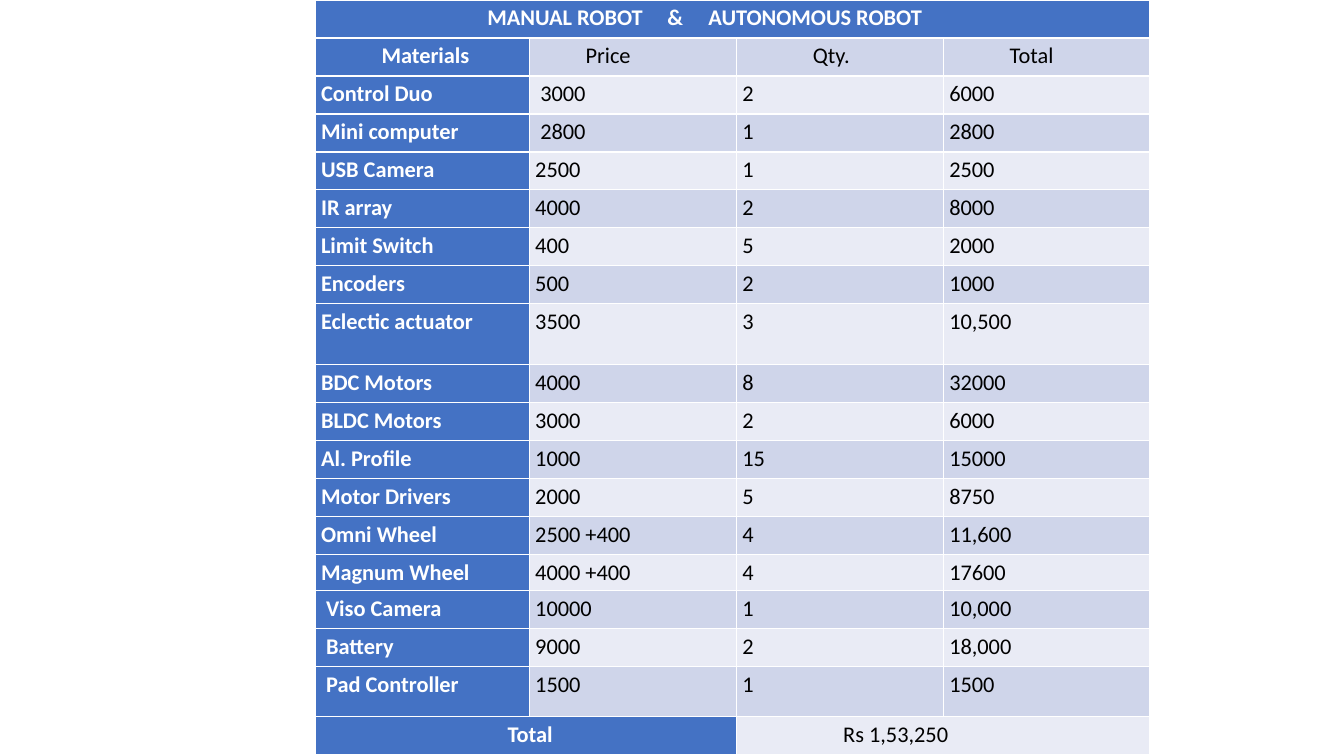
from lxml import etree
from pptx import Presentation
from pptx.dml.color import RGBColor
from pptx.enum.text import MSO_ANCHOR, PP_ALIGN
from pptx.oxml.ns import qn
from pptx.util import Pt

JUSTIFY = PP_ALIGN.JUSTIFY
TOP = MSO_ANCHOR.TOP

# Content
TITLE = "MANUAL ROBOT\t&\tAUTONOMOUS ROBOT"
HEADINGS = ("Materials", "Price", "Qty.", "Total")
MATERIALS = [
    ("Control Duo", "3000", "2", "6000"),
    ("Mini computer", "2800", "1", "2800"),
    ("USB Camera", "2500", "1", "2500"),
    ("IR array", "4000", "2", "8000"),
    ("Limit Switch", "400", "5", "2000"),
    ("Encoders", "500", "2", "1000"),
    ("Eclectic actuator", "3500", "3", "10,500"),
    ("BDC Motors", "4000", "8", "32000"),
    ("BLDC Motors", "3000", "2", "6000"),
    ("Al. Profile", "1000", "15", "15000"),
    ("Motor Drivers", "2000", "5", "8750"),
    ("Omni Wheel", "2500 +400", "4", "11,600"),
    ("Magnum Wheel", "4000 +400", "4", "17600"),
    ("Viso Camera", "10000", "1", "10,000"),
    ("Battery", "9000", "2", "18,000"),
    ("Pad Controller", "1500", "1", "1500"),
]
FOOTER = ("Total", "", "Rs 1,53,250", "")
ROWS = [(TITLE, "", "", ""), HEADINGS, *MATERIALS, FOOTER]
LAST = len(ROWS) - 1

# Layout in points
SLIDE_WIDTH, SLIDE_HEIGHT = 960, 540
TABLE_LEFT = 225
COLUMN_WIDTHS = (153, 148, 147.75, 147.75)
ROW_HEIGHT = 27.14
SPECIAL_HEIGHTS = {8: 43.6, 14: 25.7, 17: 35.7}
MARGIN = 4.32
SMALL_INDENT = 3.6
TITLE_TABS = (128.6, 157.9)
INDENTS = {
    (0, 0): 118.8,
    (1, 0): 43.2, (1, 1): 36, (1, 2): 50.4, (1, 3): 43.2,
    (2, 1): SMALL_INDENT, (3, 1): SMALL_INDENT,
    (15, 0): SMALL_INDENT, (16, 0): SMALL_INDENT, (17, 0): SMALL_INDENT,
    (LAST, 0): 133.2, (LAST, 2): 72,
}

# Colours
BLUE, DARK_BAND, LIGHT_BAND = "4472C4", "CFD5EA", "E9EBF5"
WHITE, BLACK = "FFFFFF", "000000"


def color(value):
    return RGBColor.from_string(value)


def set_values(target, values):
    for name, value in values.items():
        setattr(target, name, value)


def fill_cell(cell, text, fill, indent, is_heading):
    cell.fill.solid()
    cell.fill.fore_color.rgb = color(fill)
    set_values(cell, {
        "margin_left": Pt(MARGIN + indent), "margin_right": Pt(MARGIN),
        "margin_top": 0, "margin_bottom": 0, "vertical_anchor": TOP,
    })
    paragraph = cell.text_frame.paragraphs[0]
    set_values(paragraph, {"alignment": JUSTIFY, "line_spacing": 1.15})
    if text:
        run = paragraph.add_run()
        run.text = text
        set_values(run.font, {"name": "Calibri", "size": Pt(16), "bold": is_heading})
        run.font.color.rgb = color(WHITE if is_heading else BLACK)
    return paragraph


def add_tabs(paragraph, positions):
    properties = paragraph._p.get_or_add_pPr()
    tab_list = etree.SubElement(properties, qn("a:tabLst"))
    for position in positions:
        etree.SubElement(tab_list, qn("a:tab"), pos=str(Pt(position)), algn="l")


# Slide
presentation = Presentation()
presentation.slide_width = Pt(SLIDE_WIDTH)
presentation.slide_height = Pt(SLIDE_HEIGHT)
slide = presentation.slides.add_slide(presentation.slide_layouts[6])

# Table grid
heights = [SPECIAL_HEIGHTS.get(index, ROW_HEIGHT) for index in range(len(ROWS))]
table = slide.shapes.add_table(
    len(ROWS), len(COLUMN_WIDTHS), Pt(TABLE_LEFT), 0,
    Pt(sum(COLUMN_WIDTHS)), Pt(sum(heights)),
).table
table.first_col = True
for column, width in zip(table.columns, COLUMN_WIDTHS):
    column.width = Pt(width)
for row, height in zip(table.rows, heights):
    row.height = Pt(height)

# Cells: blue headings, alternating bands elsewhere
for row_index, texts in enumerate(ROWS):
    band = DARK_BAND if row_index % 2 else LIGHT_BAND
    for column_index, text in enumerate(texts):
        is_heading = row_index == 0 or column_index == 0
        paragraph = fill_cell(
            table.cell(row_index, column_index), text,
            BLUE if is_heading else band,
            INDENTS.get((row_index, column_index), 0), is_heading,
        )
        if text == TITLE:
            add_tabs(paragraph, TITLE_TABS)

# Merged title and total cells
for row_index, first, last in ((0, 0, 3), (LAST, 0, 1), (LAST, 2, 3)):
    table.cell(row_index, first).merge(table.cell(row_index, last))

presentation.save("out.pptx")
